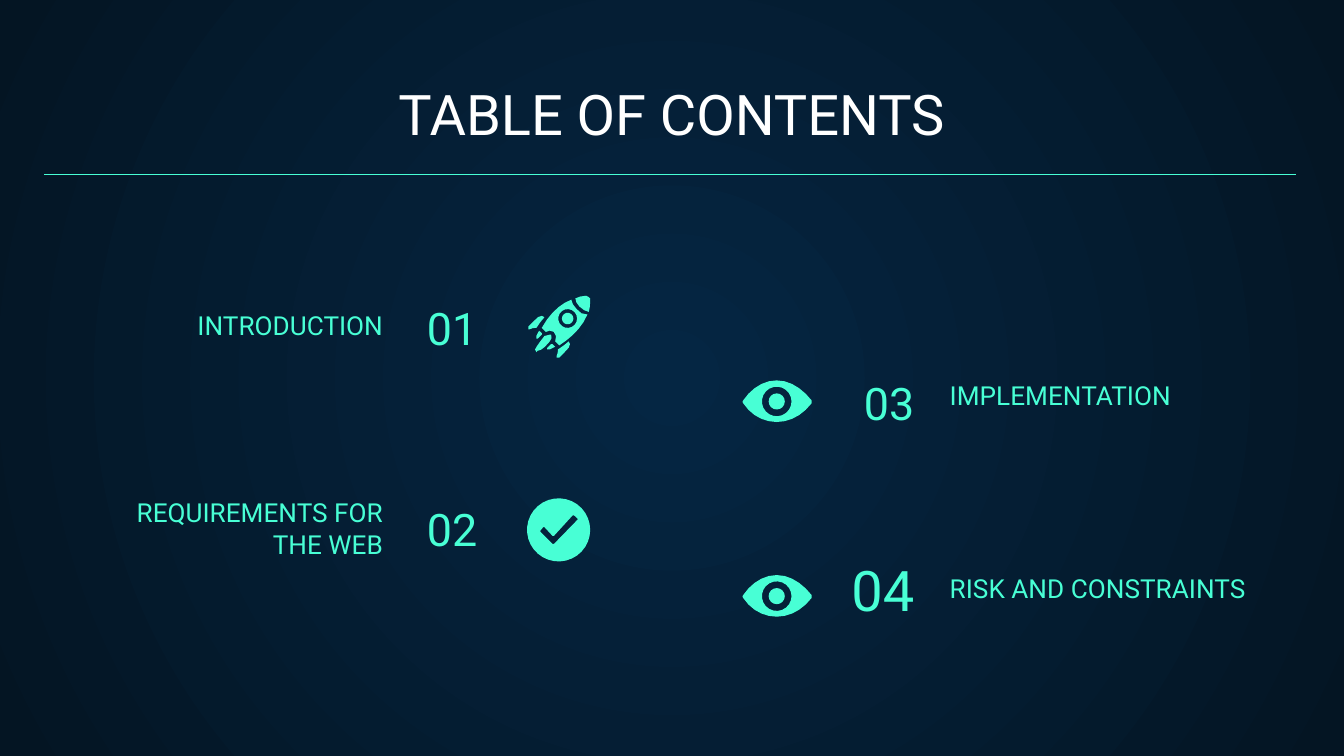
"""Build a table of contents slide with four numbered topics and icons."""
import math

from lxml import etree
from pptx import Presentation
from pptx import util as u
from pptx.dml.color import RGBColor
from pptx.enum import shapes, text
from pptx.oxml.ns import qn

COLORS = {"centre": "052643", "edge": "041523", "mint": "48FFD5", "white": "FFFFFF"}
FONT = "Roboto"
ICON_UNIT = 0.0254
LEFT, CENTER, RIGHT = text.PP_ALIGN.LEFT, text.PP_ALIGN.CENTER, text.PP_ALIGN.RIGHT
TOP, BOTTOM = text.MSO_ANCHOR.TOP, text.MSO_ANCHOR.BOTTOM

TITLE = "TABLE OF CONTENTS"
TOPICS = [
    dict(side="left", number="01", label="INTRODUCTION", icon="rocket",
         size=24, width=5.59, tops=(5.59, 5.28, 5.59)),
    dict(side="left", number="02", label="REQUIREMENTS FOR THE WEB", icon="check",
         size=24, width=5.59, tops=(9.14, 9.07, 9.42)),
    dict(side="right", number="03", label="IMPLEMENTATION", icon="eye",
         size=24, width=5.26, tops=(6.93, 6.68, 7.19)),
    dict(side="right", number="04", label="RISK AND CONSTRAINTS", icon="eye",
         size=30, width=6.76, tops=(10.57, 10.34, 10.87)),
]
SIDES = {
    "left": dict(label=1.9, number=7.82, icon=9.96, label_align=RIGHT, number_align=LEFT),
    "right": dict(label=17.7, number=14.25, icon=14.02, label_align=LEFT, number_align=RIGHT),
}

FIN = [(11, 15), (10, 15, 7, 16, 5, 19), (1, 23), (1, 25), (2, 25),
       (4, 24, 5, 24, 7, 24), (9, 21, 11, 18, 13, 16)]
SPARK = [(9, 26), (7, 30), (7, 32), (8, 32), (11, 29), (11, 28)]
FLAME = [(17, 29), (16, 29, 14, 30, 13, 30), (9, 35, 7, 38, 6, 40), (7, 42),
         (8, 41), (10, 41, 13, 39, 17, 34), (18, 33, 19, 30, 18, 29)]
NOSE = [(44, 0), (41, 0, 38, 1, 36, 2), (36, 4, 37, 6, 39, 8), (41, 10, 44, 12, 46, 12),
        (47, 9, 47, 5, 47, 2), (46, 1)]
HULL = [(33, 3), (25, 6, 17, 13, 11, 24), (14, 27), (17, 26),
        (20, 27), (22, 29, 22, 31, 21, 34), (24, 37),
        (32, 32, 41, 24, 45, 14), (42, 14, 39, 13, 37, 10), (35, 8, 33, 5, 33, 3)]
TICK = [(35, 12.7), (38, 15.5), (20, 34), (19, 34), (10, 25), (10, 24),
        (12, 21.5), (13, 21.5), (19, 28), (20, 28), (34, 12.7)]
EYELID = [(26, 0), (16, 0, 7, 6, 1, 15), (0.5, 16), (1, 17), (7, 26, 16, 31, 26, 31),
          (36, 31, 45, 26, 52, 17), (52, 15), (45, 6, 36, 0, 26, 0)]


def flatten(outline):
    """Turn corners and cubic curves into a list of points."""
    points = [outline[0]]
    for part in outline[1:]:
        if len(part) == 2:
            points.append(part)
            continue
        knots = [points[-1], part[:2], part[2:4], part[4:]]
        steps = min(5, max(2, round(math.dist(knots[0], knots[3]) / 4)))
        for step in range(1, steps + 1):
            t = step / steps
            weights = [(1 - t) ** 3, 3 * t * (1 - t) ** 2, 3 * t * t * (1 - t), t ** 3]
            points.append(tuple(sum(w * k[axis] for w, k in zip(weights, knots))
                                for axis in (0, 1)))
    return points


def disc(x, y, radius):
    """Return the points of a circle."""
    steps = int(10 + radius)
    angles = [2 * math.pi * step / steps for step in range(steps)]
    return [(x + radius * math.cos(a), y + radius * math.sin(a)) for a in angles]


def mirror(points):
    """Reflect points across the rocket's diagonal axis."""
    return [(47 - y, 47 - x) for x, y in points]


FIN_POINTS = flatten(FIN)
ICONS = {
    "rocket": [[FIN_POINTS], [mirror(FIN_POINTS)], [SPARK], [mirror(SPARK)],
               [flatten(FLAME)], [flatten(NOSE)], [flatten(HULL), disc(30.3, 17, 7)],
               [disc(30.3, 17, 4.3)]],
    "check": [[disc(23.5, 23.5, 23.5), TICK]],
    "eye": [[flatten(EYELID), disc(26, 15.7, 11), disc(26, 15.7, 6)]],
}


def color(name):
    return RGBColor.from_string(COLORS[name])


def paint_background(page):
    fill = page.background.fill
    fill.gradient()
    for stop, name in zip(fill.gradient_stops, ("centre", "edge")):
        stop.color.rgb = color(name)
    gradient = page.element.find(".//" + qn("a:gradFill"))
    gradient.remove(gradient.find(qn("a:lin")))
    circle = etree.SubElement(gradient, qn("a:path"), {"path": "circle"})
    etree.SubElement(circle, qn("a:fillToRect"), dict.fromkeys("ltrb", "50000"))


def add_text(page, words, place, size, align, anchor, ink="mint"):
    box = page.shapes.add_textbox(*map(u.Cm, place))
    frame = box.text_frame
    margins = dict.fromkeys(
        ("margin_left", "margin_top", "margin_right", "margin_bottom"), u.Cm(0.25))
    for name, value in dict(margins, word_wrap=True, vertical_anchor=anchor).items():
        setattr(frame, name, value)
    para = frame.paragraphs[0]
    para.alignment = align
    span = para.add_run()
    span.text = words
    for name, value in dict(name=FONT, size=u.Pt(size)).items():
        setattr(span.font, name, value)
    span.font.color.rgb = color(ink)


def add_icon(page, pieces, left, top):
    target = page.shapes.add_group_shape().shapes if len(pieces) > 1 else page.shapes
    for contours in pieces:
        placed = [[(u.Cm(left + x * ICON_UNIT), u.Cm(top + y * ICON_UNIT)) for x, y in contour]
                  for contour in contours]
        builder = target.build_freeform(*placed[0][0])
        builder.add_line_segments(placed[0][1:])
        for hole in placed[1:]:
            builder.move_to(*hole[0])
            builder.add_line_segments(hole[1:])
        shape = builder.convert_to_shape()
        shape.shadow.inherit = False
        shape.fill.solid()
        shape.fill.fore_color.rgb = color("mint")
        shape.line.fill.background()


def main():
    deck = Presentation()
    deck.slide_width, deck.slide_height = u.Cm(25.4), u.Cm(14.29)
    page = deck.slides.add_slide(deck.slide_layouts[6])
    paint_background(page)

    add_text(page, TITLE, (0.86, 1.35, 23.67, 1.68), 30, CENTER, BOTTOM, "white")
    rule = page.shapes.add_connector(
        shapes.MSO_CONNECTOR.STRAIGHT, *map(u.Cm, (0.84, 3.3, 24.5, 3.3)))
    rule.line.color.rgb = color("mint")
    rule.line.width = u.Pt(0.75)
    etree.SubElement(rule.element.spPr, qn("a:effectLst"))

    for topic in TOPICS:
        side = SIDES[topic["side"]]
        label_top, number_top, icon_top = topic["tops"]
        add_text(page, topic["label"], (side["label"], label_top, topic["width"], 1.4),
                 14, side["label_align"], TOP)
        add_text(page, topic["number"], (side["number"], number_top, 3.28, 1.68),
                 topic["size"], side["number_align"], BOTTOM)
        add_icon(page, ICONS[topic["icon"]], side["icon"], icon_top)

    deck.save("out.pptx")


if __name__ == "__main__":
    main()
